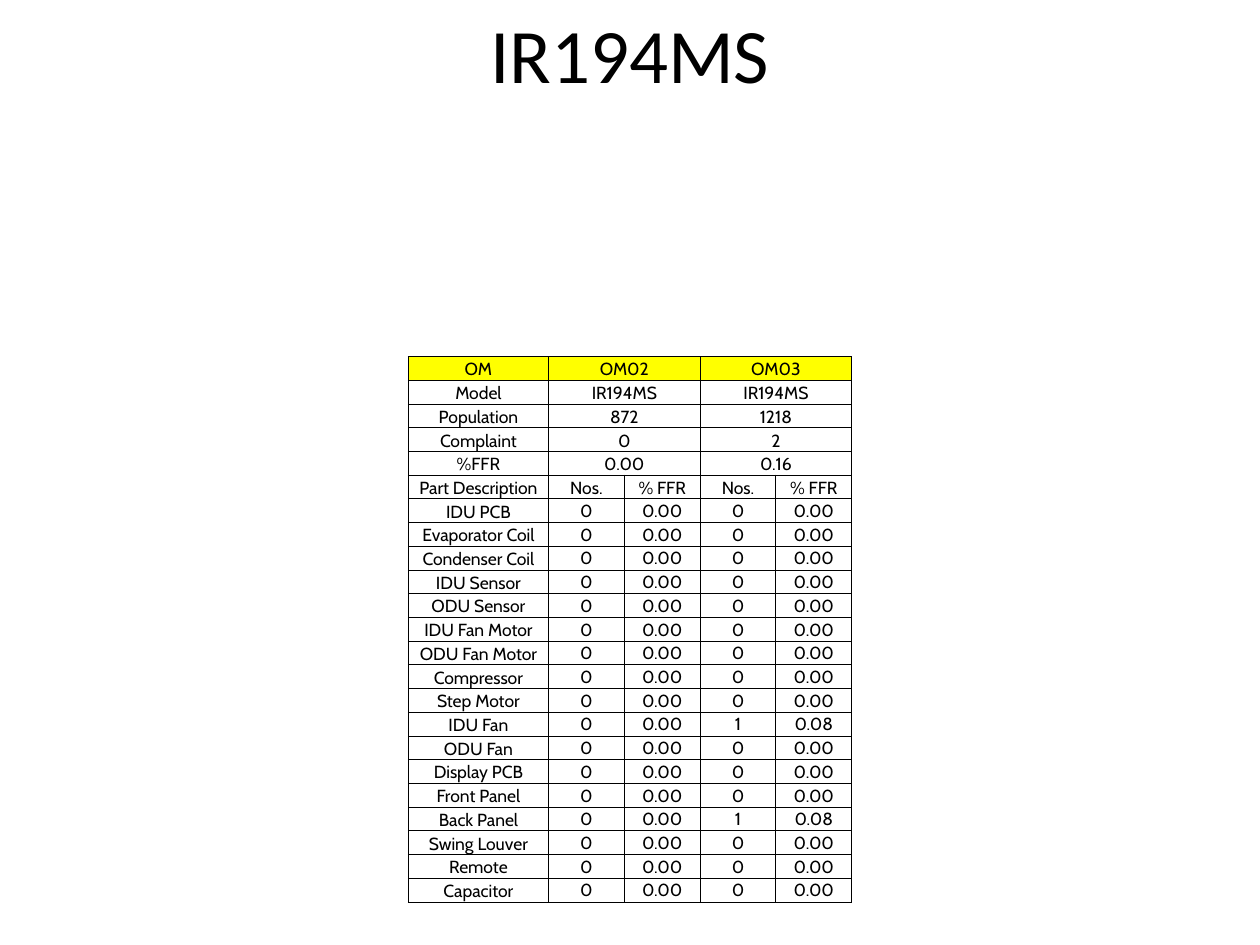
import lxml.etree
import pptx
import pptx.dml.color
import pptx.enum.text
import pptx.oxml.ns
import pptx.util

ALIGN = pptx.enum.text.PP_ALIGN
ANCHOR = pptx.enum.text.MSO_ANCHOR


def paint(color):
    return pptx.dml.color.RGBColor.from_string(color)


class Sheet:
    """Hold the style and the current slide, and add elements placed by shares of the slide."""

    ink = "000000"
    highlight = "FFFF00"
    title_font = "Calibri"
    table_font = "Cabin"

    def __init__(self, deck):
        self.width, self.height = deck.slide_width, deck.slide_height
        self.page = deck.slides.add_slide(deck.slide_layouts[6])

    def place(self, left, top, width, height):
        return (round(left * self.width), round(top * self.height),
                round(width * self.width), round(height * self.height))

    def label(self, frame, text, font, size):
        para = frame.paragraphs[0]
        para.alignment = ALIGN.CENTER
        span = para.add_run()
        span.text = text
        span.font.name = font
        span.font.size = pptx.util.Pt(size)
        span.font.color.rgb = paint(self.ink)

    def title(self, text, area):
        box = self.page.shapes.add_textbox(*self.place(*area))
        box.text_frame.word_wrap = True
        box.text_frame.vertical_anchor = ANCHOR.MIDDLE
        self.label(box.text_frame, text, self.title_font, 44)

    def border(self, cell):
        properties = cell._tc.get_or_add_tcPr()
        for side in ("a:lnL", "a:lnR", "a:lnT", "a:lnB"):
            line = lxml.etree.SubElement(properties, pptx.oxml.ns.qn(side), w=str(pptx.util.Pt(0.5)))
            fill = lxml.etree.SubElement(line, pptx.oxml.ns.qn("a:solidFill"))
            lxml.etree.SubElement(fill, pptx.oxml.ns.qn("a:srgbClr"), val=self.ink)

    def cell(self, cell, text, anchor, color):
        self.border(cell)
        cell.margin_left = cell.margin_right = cell.margin_top = pptx.util.Inches(0.01)
        cell.margin_bottom = 0
        cell.vertical_anchor = anchor
        if color:
            cell.fill.solid()
            cell.fill.fore_color.rgb = paint(color)
        else:
            cell.fill.background()
        if text:
            self.label(cell.text_frame, text, self.table_font, 10)

    def table(self, summary, details, area, shares):
        rows = [(name, first, "", second, "") for name, first, second in summary] + details
        left, top, width, height = self.place(*area)
        table = self.page.shapes.add_table(len(rows), len(shares), left, top, width, height).table
        table.first_row = table.horz_banding = False
        for column, share in zip(table.columns, shares):
            column.width = round(width * share / sum(shares))
        for r, row in enumerate(rows):
            table.rows[r].height = round(height / len(rows))
            for c, text in enumerate(row):
                anchor = ANCHOR.MIDDLE if c and r > len(summary) else ANCHOR.BOTTOM
                self.cell(table.cell(r, c), text, anchor, None if r else self.highlight)
        for r in range(len(summary)):
            for c in (1, 3):
                table.cell(r, c).merge(table.cell(r, c + 1))


SUMMARY = [
    ("OM", "OM02", "OM03"),
    ("Model", "IR194MS", "IR194MS"),
    ("Population", "872", "1218"),
    ("Complaint", "0", "2"),
    ("%FFR", "0.00", "0.16"),
]
PARTS = [
    "IDU PCB", "Evaporator Coil", "Condenser Coil", "IDU Sensor", "ODU Sensor",
    "IDU Fan Motor", "ODU Fan Motor", "Compressor", "Step Motor", "IDU Fan", "ODU Fan",
    "Display PCB", "Front Panel", "Back Panel", "Swing Louver", "Remote", "Capacitor",
]
NO_FAILURES = ("0", "0.00")
FAILURES = {"IDU Fan": ("1", "0.08"), "Back Panel": ("1", "0.08")}


def main():
    deck = pptx.Presentation()
    deck.slide_width, deck.slide_height = pptx.util.Inches(10), pptx.util.Inches(7.5)
    sheet = Sheet(deck)
    sheet.title("IR194MS", (0.05, 0.17 / 7.5, 0.9, 0.5 / 7.5))
    details = [("Part Description",) + ("Nos.", "% FFR") * 2]
    details += [(part, *NO_FAILURES, *FAILURES.get(part, NO_FAILURES)) for part in PARTS]
    sheet.table(SUMMARY, details, (3.24 / 10, 2.83 / 7.5, 3.52 / 10, 4.33 / 7.5), (1.11, 0.6, 0.6, 0.6, 0.6))
    deck.save("out.pptx")


if __name__ == "__main__":
    main()
